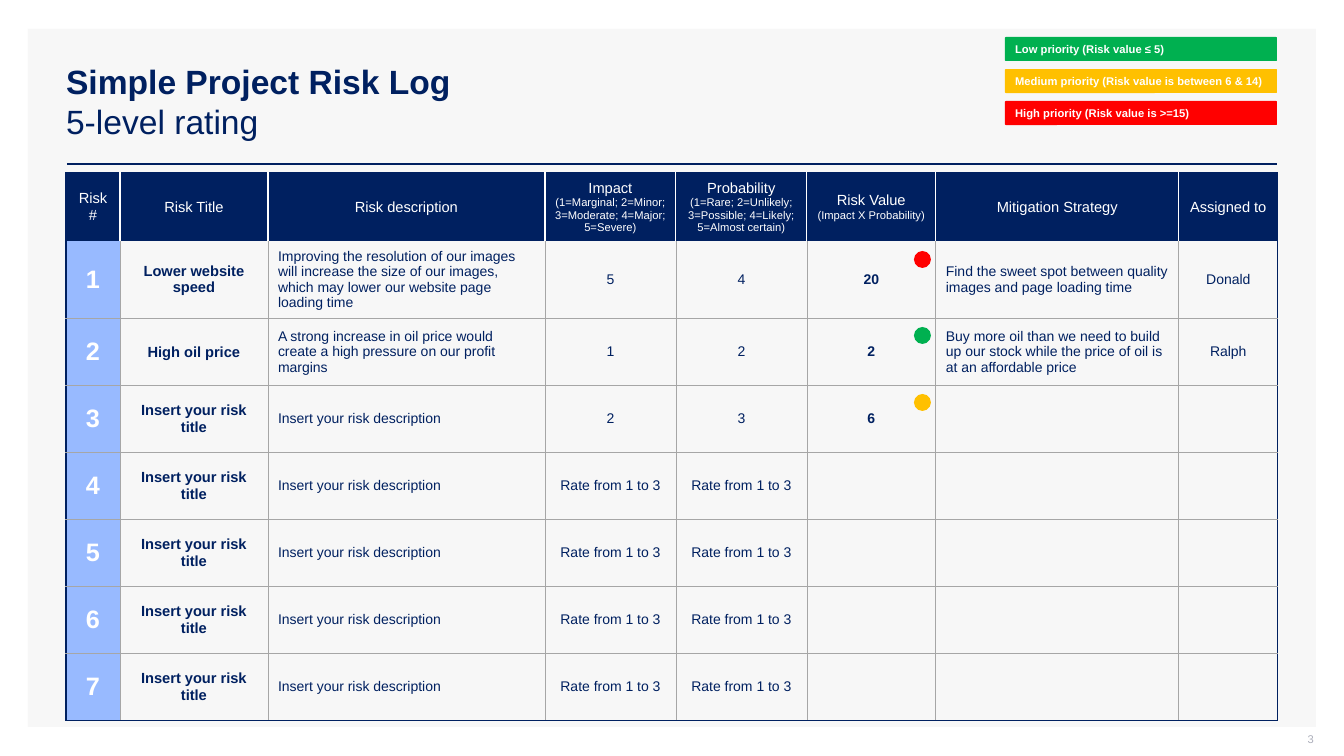
from lxml import etree
from pptx import Presentation, util as u
from pptx.dml.color import RGBColor
from pptx.enum import shapes, text
from pptx.oxml import ns

PX = 914400 / 100.8
COLORS = {
    "navy": "002060", "white": "FFFFFF", "panel": "F7F7F7", "number": "98BAFF",
    "grid": "A6A6A6", "page": "ADAFBB",
    "low": "00B050", "medium": "FFC000", "high": "FF0000",
}
NO_STYLE = "{2D5ABB26-0587-4C30-8999-92F81FD0307C}"

LEGEND = [
    ("low", "Low priority (Risk value ≤ 5)"),
    ("medium", "Medium priority (Risk value is between 6 & 14)"),
    ("high", "High priority (Risk value is >=15)"),
]
DOTS = [("high", 251), ("low", 327), ("medium", 394)]

COLUMN_WIDTHS = [54, 148, 277, 131, 131, 129, 243, 99]
ROW_HEIGHT = 67
HEADERS = [
    "Risk #", "Risk Title", "Risk description",
    "Impact\n(1=Marginal; 2=Minor; 3=Moderate; 4=Major; 5=Severe)",
    "Probability\n(1=Rare; 2=Unlikely; 3=Possible; 4=Likely; 5=Almost certain)",
    "Risk Value\n(Impact X Probability)", "Mitigation Strategy", "Assigned to",
]
RATE = "Rate from 1 to 3"
BLANK_TITLE, BLANK_DESCRIPTION = "Insert your risk title", "Insert your risk description"
RISKS = [
    ("Lower website speed",
     "Improving the resolution of our images will increase the size of our images, "
     "which may lower our website page loading time",
     "5", "4", "20",
     "Find the sweet spot between quality images and page loading time", "Donald"),
    ("High oil price",
     "A strong increase in oil price would create a high pressure on our profit margins",
     "1", "2", "2",
     "Buy more oil than we need to build up our stock while the price of oil is "
     "at an affordable price", "Ralph"),
    (BLANK_TITLE, BLANK_DESCRIPTION, "2", "3", "6", "", ""),
] + [(BLANK_TITLE, BLANK_DESCRIPTION, RATE, RATE, "", "", "")] * 4
LEFT_COLUMNS = (2, 6)
BOLD_COLUMNS = (0, 1, 5)


def px(length):
    return u.Emu(round(length * PX))


def rgb(name):
    return RGBColor.from_string(COLORS[name])


class RiskLogSlide:
    font = "Arial"

    def __init__(self, presentation):
        self.slide = presentation.slides.add_slide(presentation.slide_layouts[5])

    def format_runs(self, paragraph, size, color, bold=False, align=text.PP_ALIGN.LEFT):
        paragraph.alignment = align
        for run in paragraph.runs:
            run.font.name = self.font
            run.font.size = u.Pt(size)
            run.font.bold = bold
            run.font.color.rgb = rgb(color)

    def shape(self, kind, left, top, width, height, color):
        shape = self.slide.shapes.add_shape(kind, px(left), px(top), px(width), px(height))
        shape.shadow.inherit = False
        shape.fill.solid()
        shape.fill.fore_color.rgb = rgb(color)
        shape.line.fill.background()
        return shape

    def panel(self, left, top, width, height):
        """Add the grey page area behind everything else."""
        panel = self.shape(shapes.MSO_SHAPE.RECTANGLE, left, top, width, height, "panel")
        panel._element.getparent().insert(2, panel._element)

    def title(self, heading, subheading, left, top, width, height):
        title = self.slide.shapes.title
        title.left, title.top, title.width, title.height = map(px, (left, top, width, height))
        frame = title.text_frame
        frame.text = f"{heading}\v{subheading}"
        frame.auto_size = text.MSO_AUTO_SIZE.NONE
        frame.vertical_anchor = text.MSO_ANCHOR.MIDDLE
        self.format_runs(frame.paragraphs[0], 24, "navy")
        frame.paragraphs[0].runs[0].font.bold = True

    def rule(self, left, right, y):
        line = self.slide.shapes.add_connector(
            shapes.MSO_CONNECTOR.STRAIGHT, px(left), px(y), px(right), px(y))
        line.line.color.rgb = rgb("navy")
        line.line.width = u.Pt(2)
        etree.SubElement(line._element.spPr, ns.qn("a:effectLst"))

    def legend_bar(self, label, color, left, top, width, height):
        bar = self.shape(shapes.MSO_SHAPE.ROUNDED_RECTANGLE, left, top, width, height, color)
        bar.adjustments[0] = 0.04
        frame = bar.text_frame
        frame.text = label
        frame.word_wrap = True
        frame.vertical_anchor = text.MSO_ANCHOR.MIDDLE
        paragraph = frame.paragraphs[0]
        paragraph.space_before = paragraph.space_after = u.Pt(3)
        self.format_runs(paragraph, 8, "white", bold=True)

    def dot(self, color, left, top, size):
        self.shape(shapes.MSO_SHAPE.OVAL, left, top, size, size, color)

    def page_number(self, number, left, top, width, height):
        box = self.slide.shapes.add_textbox(px(left), px(top), px(width), px(height))
        frame = box.text_frame
        frame.text = number
        frame.word_wrap = True
        frame.margin_top = frame.margin_right = 0
        frame.vertical_anchor = text.MSO_ANCHOR.MIDDLE
        self.format_runs(frame.paragraphs[0], 8, "page", align=text.PP_ALIGN.RIGHT)

    def borders(self, cell, edges):
        """Draw cell edges given as {side letter: (color, points)}."""
        properties = cell._tc.get_or_add_tcPr()
        ordered = [side for side in "LRTB" if side in edges]
        for position, side in enumerate(ordered):
            color, points = edges[side]
            line = etree.Element(ns.qn(f"a:ln{side}"), w=str(u.Pt(points)))
            fill = etree.SubElement(line, ns.qn("a:solidFill"))
            etree.SubElement(fill, ns.qn("a:srgbClr"), val=COLORS[color])
            properties.insert(position, line)

    def table_cell(self, cell, content, row, column, last_row, last_column):
        header = row == 0
        cell.text = content
        cell.vertical_anchor = text.MSO_ANCHOR.MIDDLE
        if header or column == 0:
            cell.fill.solid()
            cell.fill.fore_color.rgb = rgb("navy" if header else "number")
        else:
            cell.fill.background()

        size = 10.5 if header or column == 1 else 18 if column == 0 else 10
        left_aligned = not header and column in LEFT_COLUMNS
        for index, paragraph in enumerate(cell.text_frame.paragraphs):
            self.format_runs(
                paragraph, 8 if index else size,
                "white" if header or column == 0 else "navy",
                bold=not header and column in BOLD_COLUMNS,
                align=text.PP_ALIGN.LEFT if left_aligned else text.PP_ALIGN.CENTER)

        outer, inner = ("navy", 1), ("white", 1) if header else ("grid", 0.5)
        edges = {"L": inner if column else outer,
                 "R": outer if column == last_column else inner}
        if header:
            edges["T"] = outer
        else:
            edges["B"] = outer if row == last_row else inner
            if row > 1:
                edges["T"] = inner
        self.borders(cell, edges)

    def table(self, rows, widths, left, top, row_height):
        frame = self.slide.shapes.add_table(
            len(rows), len(widths), px(left), px(top),
            px(sum(widths)), px(row_height * len(rows)))
        table = frame.table
        table.horz_banding = False
        table._tbl.tblPr.find(ns.qn("a:tableStyleId")).text = NO_STYLE
        for column, width in zip(table.columns, widths):
            column.width = px(width)
        for row, contents in enumerate(rows):
            table.rows[row].height = px(row_height)
            for column, content in enumerate(contents):
                self.table_cell(table.cell(row, column), content, row, column,
                                len(rows) - 1, len(widths) - 1)


def main():
    presentation = Presentation()
    presentation.slide_width, presentation.slide_height = px(1344), px(756)
    log = RiskLogSlide(presentation)
    log.panel(28, 29, 1288, 698)
    log.title("Simple Project Risk Log", "5-level rating", 56, 41, 1221, 120)
    log.rule(67, 1277, 164)
    log.page_number("3", 1012, 731, 302, 21)
    rows = [HEADERS] + [(str(number), *risk) for number, risk in enumerate(RISKS, 1)]
    log.table(rows, COLUMN_WIDTHS, 66, 173, ROW_HEIGHT)
    for index, (color, label) in enumerate(LEGEND):
        log.legend_bar(label, color, 1005, 37 + 32 * index, 272, 24)
    for color, top in DOTS:
        log.dot(color, 914, top, 17)
    presentation.save("out.pptx")


if __name__ == "__main__":
    main()
